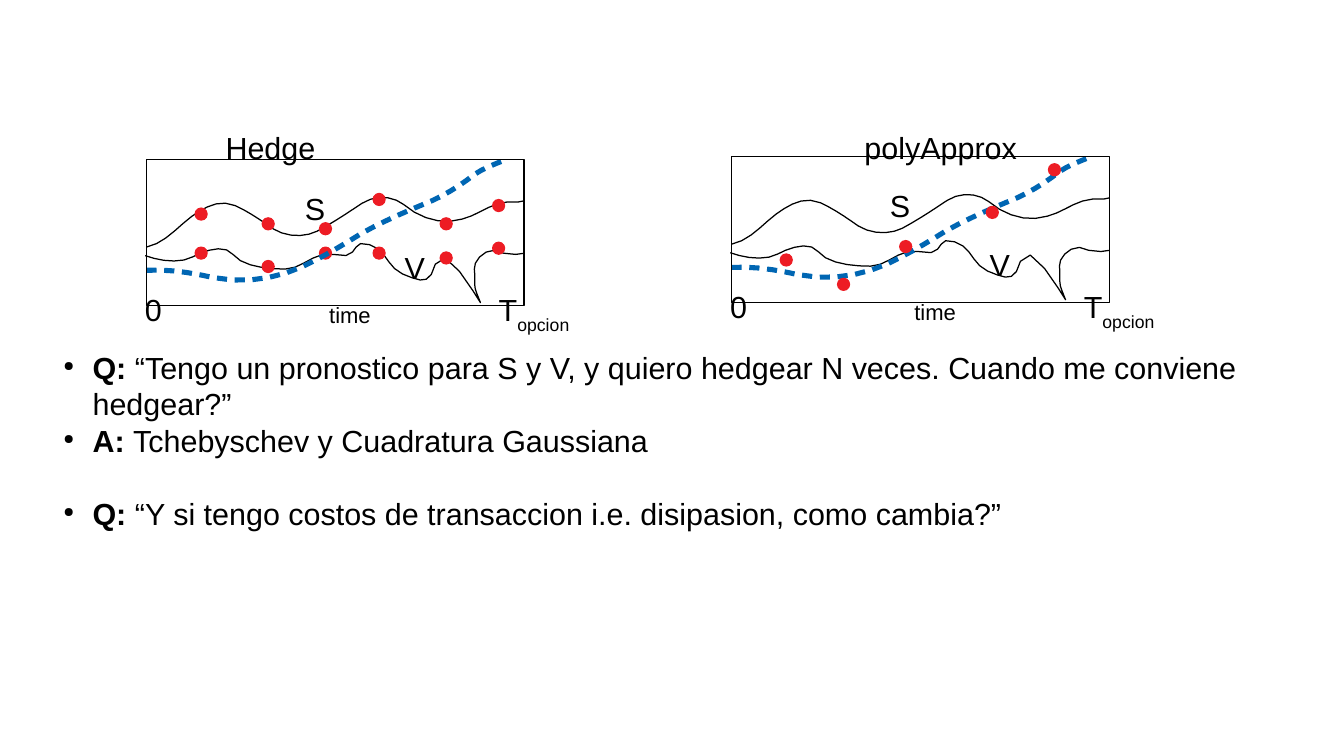
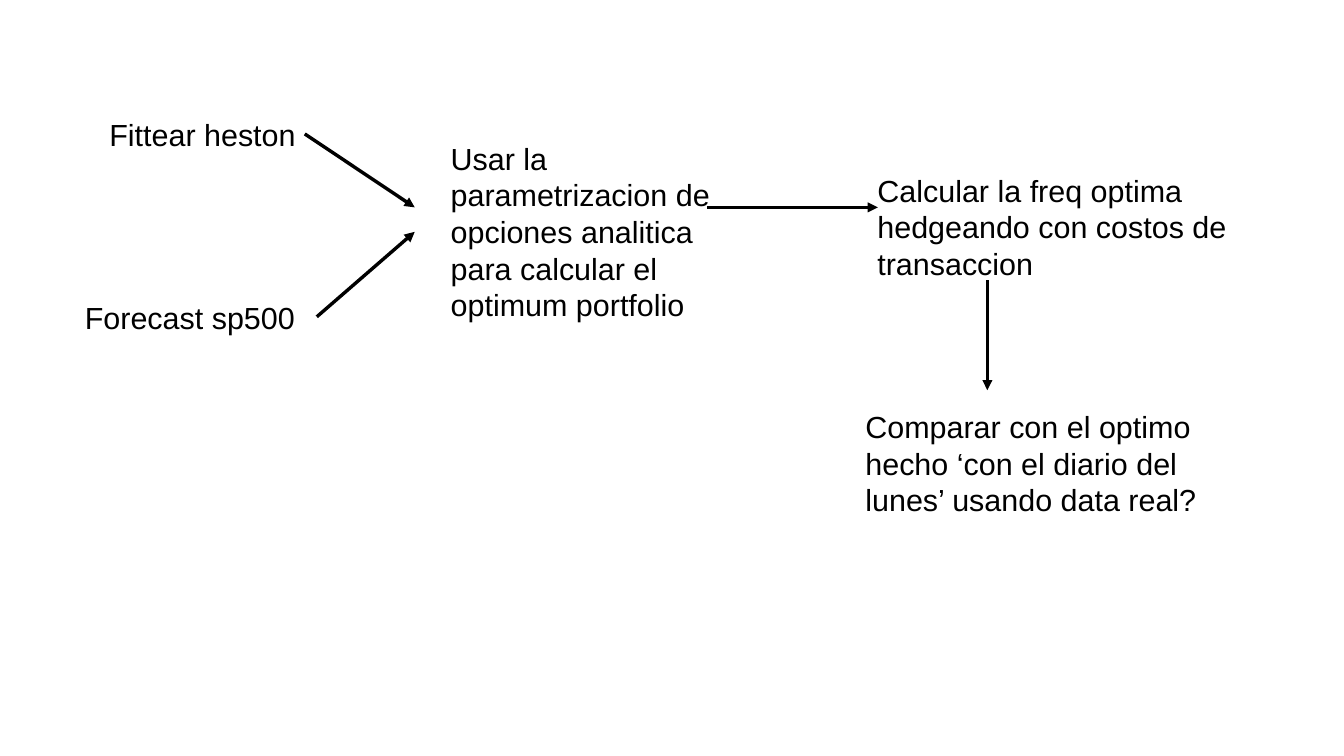
from dataclasses import dataclass

from lxml.etree import SubElement as Sub
from pptx import Presentation as Deck
from pptx.dml.color import RGBColor as Rgb
from pptx.enum.shapes import MSO_CONNECTOR as Link, MSO_SHAPE as Kind
from pptx.oxml.ns import qn
from pptx.util import Cm, Pt

BLACK = Rgb(0x00, 0x00, 0x00)
WHITE = Rgb(0xFF, 0xFF, 0xFF)
RED = Rgb(0xED, 0x1C, 0x24)
BLUE = Rgb(0x00, 0x66, 0xB3)
FACE = "Arial"
GRID = 0.0254
DOT = 0.25


@dataclass(frozen=True)
class Curve:
    start: tuple
    bends: tuple
    tail: tuple
    color: Rgb = BLACK
    width: float = 0
    dashed: bool = False


@dataclass(frozen=True)
class Plot:
    left: float
    top: float
    under: tuple = ()
    over: tuple = ()


@dataclass(frozen=True)
class Note:
    text: str
    left: float
    top: float
    width: float
    height: float
    size: int = 18


@dataclass(frozen=True)
class Arrow:
    x1: float
    y1: float
    x2: float
    y2: float


PRICE = Curve(
    (0, 72),
    ((15, 69, 25, 56, 37, 47), (47, 40, 59, 32, 73, 38),
     (84, 43, 94, 50, 104, 57), (115, 64, 130, 64, 140, 59),
     (153, 52, 165, 44, 177, 36), (188, 29, 202, 30, 211, 37),
     (225, 49, 243, 54, 259, 49), (272, 46, 282, 36, 296, 35)),
    ((305, 35), (310, 34)))
VOL = Curve(
    (-1, 79),
    ((10, 83, 27, 86, 38, 80), (47, 75, 64, 69, 71, 78),
     (79, 88, 99, 90, 114, 90), (128, 90, 138, 75, 153, 78),
     (177, 84, 166, 64, 183, 70), (197, 74, 197, 88, 210, 94),
     (225, 100, 232, 104, 237, 86), (245, 58, 286, 143, 271, 110),
     (268, 104, 270, 97, 269, 90), (268, 83, 280, 69, 293, 77)),
    ((303, 78), (310, 77)))
TREND = Curve(
    (0, 91),
    ((19, 90, 37, 93, 55, 97), (81, 102, 106, 98, 128, 88),
     (145, 80, 160, 71, 176, 61), (192, 52, 210, 44, 227, 37),
     (240, 32, 252, 25, 263, 17), (272, 9, 283, 5, 293, 1)),
    ((297, 0),), BLUE, 3, True)

DATES = (40, 95, 142, 186, 241, 284)
HEDGE = (*zip(DATES, (40, 48, 52, 28, 48, 33)),
         *zip(DATES, (72, 83, 72, 72, 76, 68)))
NODES = ((40, 80), (87, 100), (138, 69), (209, 41), (260, 6))
PLOTS = (Plot(3.05, 3.32, under=HEDGE), Plot(15.24, 3.26, over=NODES))
LABELS = (
    Note("S", 3.05, 0.51, 0.76, 0.97),
    Note("V", 5.13, 1.75, 0.76, 0.97),
    Note("time", 3.56, 2.84, 2.84, 0.76, 13),
)
AXIS = Note("0\tT", -0.28, 2.62, 9.65, 1.12)
TITLES = Note("Hedge\tpolyApprox", 4.45, 2.57, 18.24, 0.97)
POINTS = (
    ("Q: ", "“Tengo un pronostico para S y V, y quiero hedgear N veces. "
            "Cuando me conviene hedgear?”", 0),
    ("A: ", "Tchebyschev y Cuadratura Gaussiana", 0),
    ("Q: ", "“Y si tengo costos de transaccion i.e. disipasion, "
            "como cambia?”", 21.5),
)
STEPS = (
    Note("Fittear heston", 2.03, 2.29, 9.4, 0.97),
    Note("Usar la parametrizacion de opciones analitica para calcular "
         "el optimum portfolio", 9.14, 2.79, 6.6, 3.81),
    Note("Forecast sp500", 1.52, 6.1, 7.87, 0.97),
    Note("Calcular la freq optima hedgeando con costos de transaccion",
         18.03, 3.45, 8.64, 2.39),
    Note("Comparar con el optimo hecho ‘con el diario del lunes’ "
         "usando data real?", 17.78, 8.38, 8.64, 2.39),
)
ARROWS = (
    Arrow(6.35, 2.79, 8.64, 4.32),
    Arrow(6.6, 6.6, 8.64, 4.83),
    Arrow(14.73, 4.32, 18.29, 4.32),
    Arrow(20.57, 5.84, 20.57, 8.13),
)


def style(para, size: int = 18) -> None:
    para.font.name = FACE
    para.font.size = Pt(size)
    para.font.color.rgb = BLACK


def frame(slide, left: float, top: float, width: float, height: float):
    box = slide.shapes.add_textbox(Cm(left), Cm(top), Cm(width), Cm(height))
    box.text_frame.word_wrap = True
    return box.text_frame


def write(slide, note: Note, dx: float = 0, dy: float = 0, tab: float = 0):
    body = frame(slide, note.left + dx, note.top + dy, note.width, note.height)
    para = body.paragraphs[0]
    para.add_run().text = note.text
    if tab:
        tabs = Sub(para._p.get_or_add_pPr(), qn("a:tabLst"))
        Sub(tabs, qn("a:tab"), pos=str(Cm(tab)), algn="l")
    style(para, note.size)
    return para


def trace(curve: Curve, steps: int = 5) -> list:
    pts = [curve.start]
    for ax, ay, bx, by, cx, cy in curve.bends:
        ox, oy = pts[-1]
        for i in range(1, steps + 1):
            t = i / steps
            u = 1 - t
            k = (u ** 3, 3 * u * u * t, 3 * u * t * t, t ** 3)
            pts.append((sum(a * b for a, b in zip(k, (ox, ax, bx, cx))),
                        sum(a * b for a, b in zip(k, (oy, ay, by, cy)))))
    return pts + list(curve.tail)


def sketch(slide, curve: Curve, left: float, top: float) -> None:
    pts = [(Cm(x * GRID), Cm(y * GRID)) for x, y in trace(curve)]
    pen = slide.shapes.build_freeform(*pts[0])
    pen.add_line_segments(pts[1:], close=False)
    shape = pen.convert_to_shape(Cm(left), Cm(top))
    shape.shadow.inherit = False
    shape.fill.background()
    shape.line.color.rgb = curve.color
    shape.line.width = Pt(curve.width)
    if curve.dashed:
        dash = Sub(shape.line._get_or_add_ln(), qn("a:custDash"))
        Sub(dash, qn("a:ds"), d="200000", sp="150000")


def stamp(slide, dots: tuple, left: float, top: float) -> None:
    for x, y in dots:
        dot = slide.shapes.add_shape(
            Kind.OVAL, Cm(left + x * GRID), Cm(top + y * GRID),
            Cm(DOT), Cm(DOT))
        dot.shadow.inherit = False
        dot.fill.solid()
        dot.fill.fore_color.rgb = RED
        dot.line.color.rgb = RED
        dot.line.width = Pt(0)


def draw(slide, plot: Plot) -> None:
    left, top = plot.left, plot.top
    for curve in (PRICE, VOL):
        sketch(slide, curve, left, top)
    stamp(slide, plot.under, left, top)
    for label in LABELS:
        write(slide, label, left, top)
    run = write(slide, AXIS, left, top, 7.37).add_run()
    run.text = "opcion"
    run._r.get_or_add_rPr().set("baseline", "-33000")
    sketch(slide, TREND, left, top)
    rim = slide.shapes.add_shape(
        Kind.RECTANGLE, Cm(left), Cm(top), Cm(7.87), Cm(3.05))
    rim.shadow.inherit = False
    rim.fill.background()
    rim.line.color.rgb = BLACK
    rim.line.width = Pt(0)
    stamp(slide, plot.over, left, top)


def listing(slide) -> None:
    body = frame(slide, 1.07, 7.14, 26.87, 8.5)
    for i, (lead, text, gap) in enumerate(POINTS):
        para = body.add_paragraph() if i else body.paragraphs[0]
        props = para._p.get_or_add_pPr()
        props.set("marL", str(Cm(0.61)))
        props.set("indent", str(Cm(-0.61)))
        tint = Sub(props, qn("a:buClr"))
        Sub(tint, qn("a:srgbClr"), val=str(BLACK))
        Sub(props, qn("a:buSzPct"), val="45000")
        Sub(props, qn("a:buChar"), char="●")
        style(para)
        if gap:
            para.space_before = Pt(gap)
        head = para.add_run()
        head.text = lead
        head.font.bold = True
        para.add_run().text = text


def point(slide, arrow: Arrow) -> None:
    line = slide.shapes.add_connector(
        Link.STRAIGHT, Cm(arrow.x1), Cm(arrow.y1), Cm(arrow.x2), Cm(arrow.y2))
    line.line.color.rgb = BLACK
    line.line.width = Pt(0)
    Sub(line.line._get_or_add_ln(), qn("a:tailEnd"), type="triangle")
    Sub(line._element.spPr, qn("a:effectLst"))


def page(deck):
    slide = deck.slides.add_slide(deck.slide_layouts[6])
    slide.background.fill.solid()
    slide.background.fill.fore_color.rgb = WHITE
    return slide


def main() -> None:
    deck = Deck()
    deck.slide_width, deck.slide_height = Cm(28), Cm(15.75)

    plots = page(deck)
    for plot in PLOTS:
        draw(plots, plot)
    write(plots, TITLES, tab=13.31)
    listing(plots)

    flow = page(deck)
    for step in STEPS:
        write(flow, step)
    for arrow in ARROWS:
        point(flow, arrow)

    deck.save("out.pptx")


if __name__ == "__main__":
    main()
